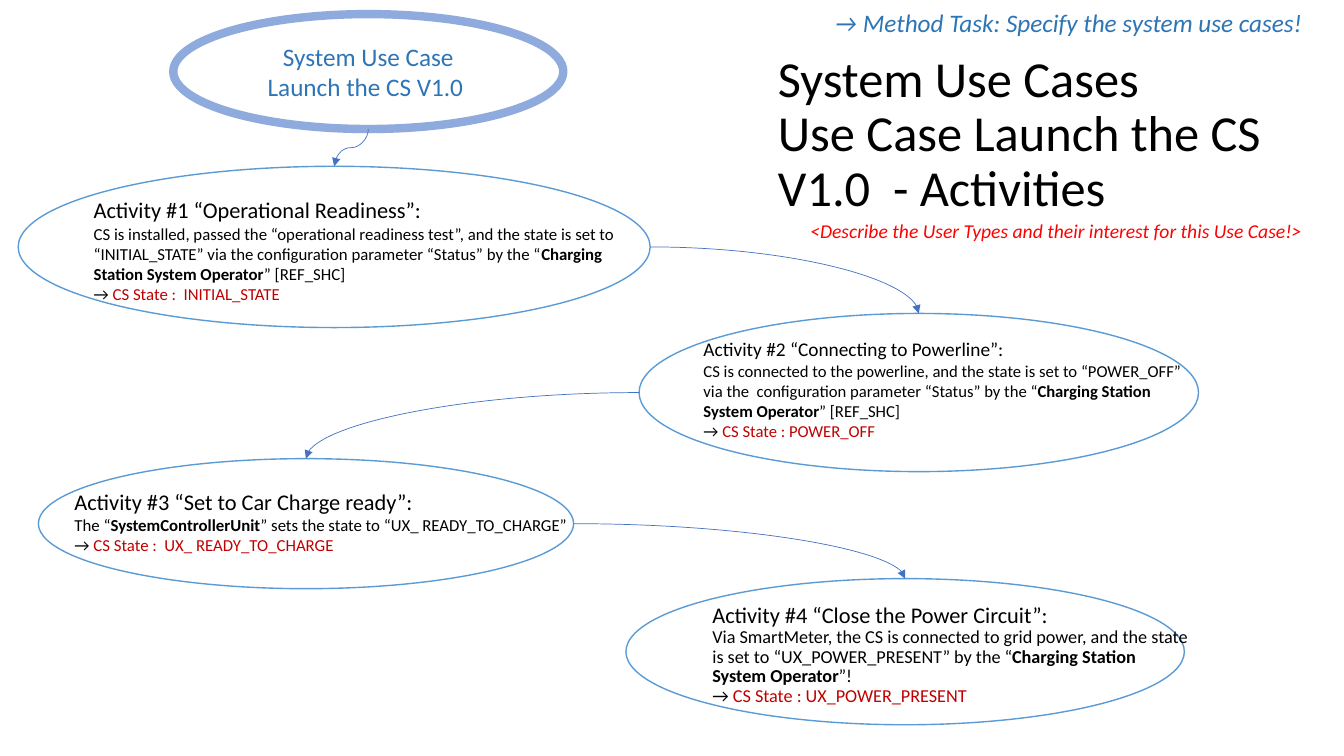
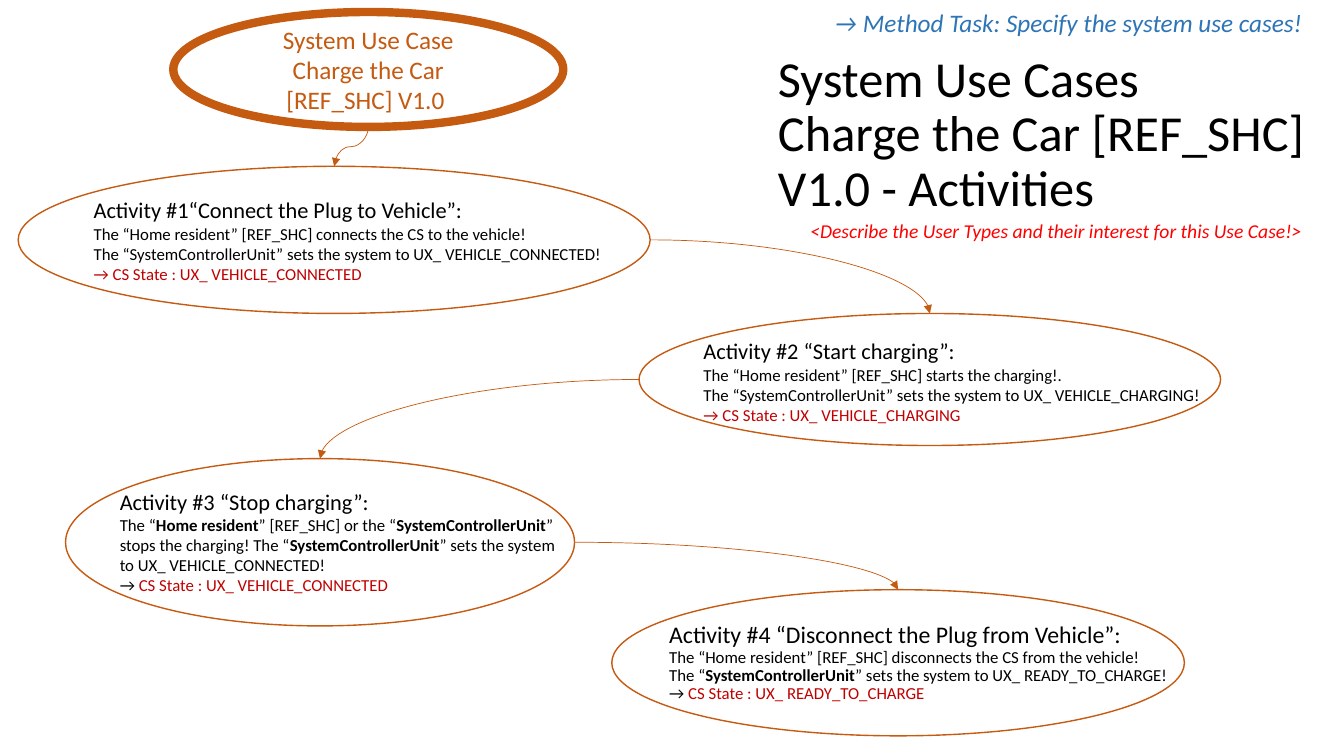
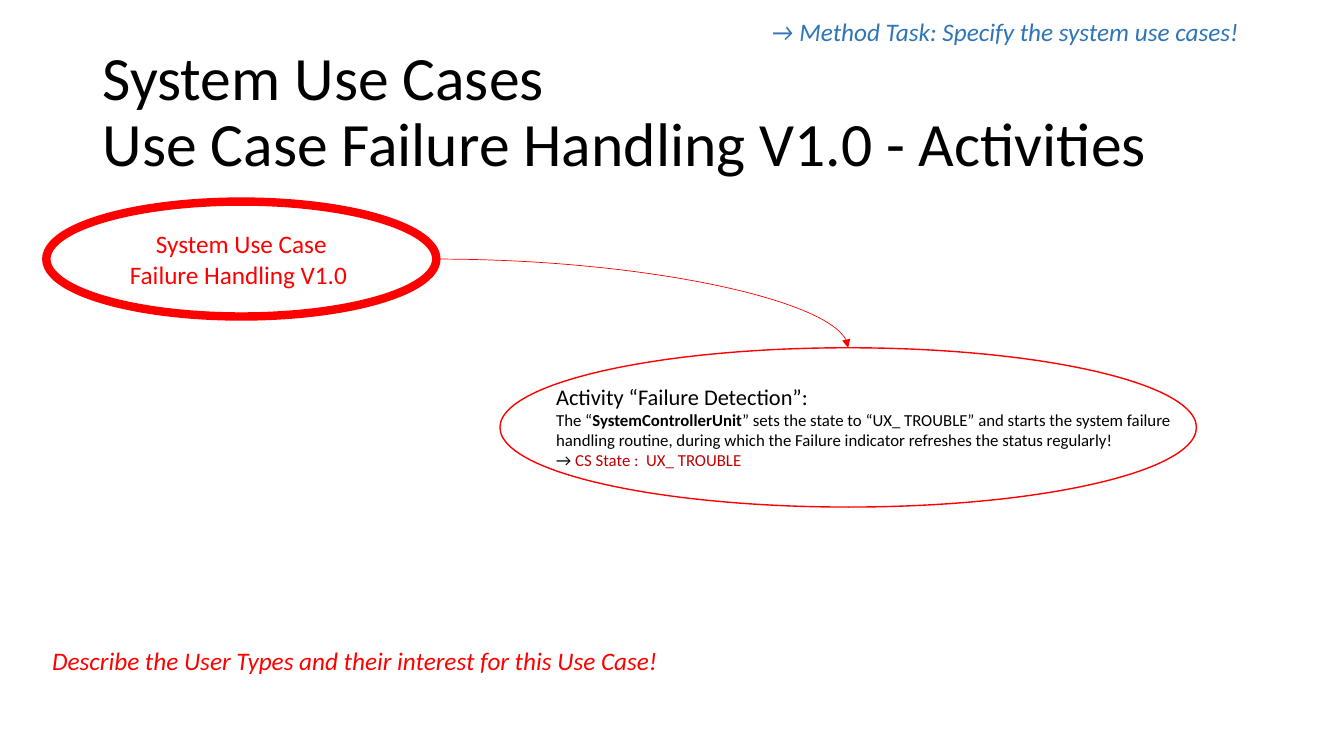
from dataclasses import dataclass

from pptx import Presentation
from pptx.dml.color import RGBColor
from pptx.enum.shapes import MSO_CONNECTOR, MSO_SHAPE
from pptx.enum.text import MSO_ANCHOR, PP_ALIGN
from pptx.oxml.ns import qn
from pptx.util import Pt
from lxml import etree

ELLIPSE = MSO_SHAPE.OVAL
CURVE = MSO_CONNECTOR.CURVE
MIDDLE = MSO_ANCHOR.MIDDLE
CENTER = PP_ALIGN.CENTER
# Connection sites of an ellipse
TOP, LEFT, BOTTOM, RIGHT = 0, 2, 4, 6


@dataclass(frozen=True)
class Theme:
    font: str = "Calibri"
    text: str = "000000"
    state: str = "C00000"
    alert: str = "FF0000"
    method: str = "2E75B6"
    blue_ring: str = "8FAADC"
    blue_outline: str = "5B9BD5"
    blue_arrow: str = "4472C4"
    orange: str = "C55A11"
    title_size: float = 36
    wide_title_size: float = 44
    label_size: float = 18
    hint_size: float = 14
    heading_size: float = 16
    body_size: float = 12
    ring_width: float = 6
    outline_width: float = 1
    arrow_width: float = 0.5
    tight: float = 0.9


THEME = Theme()


def site_point(shape, site):
    """Position of a connection site on an ellipse."""
    across = {LEFT: 0, RIGHT: 2}.get(site, 1)
    down = {TOP: 0, BOTTOM: 2}.get(site, 1)
    return (shape.left + shape.width * across // 2,
            shape.top + shape.height * down // 2)


class Deck:
    def __init__(self, theme):
        self.theme = theme
        self.presentation = Presentation()
        self.presentation.slide_width = Pt(960)
        self.presentation.slide_height = Pt(540)
        self.slide = None

    def new_slide(self, outline, arrow):
        self.slide = self.presentation.slides.add_slide(
            self.presentation.slide_layouts[6])
        self.outline, self.arrow_color = outline, arrow

    # Text
    def add_run(self, paragraph, text, size, color, bold=False, italic=False):
        run = paragraph.add_run()
        run.text = text
        formats = {"name": self.theme.font, "size": Pt(size),
                   "bold": bold, "italic": italic}
        for name, value in formats.items():
            setattr(run.font, name, value)
        run.font.color.rgb = RGBColor.from_string(color)

    def add_lines(self, frame, lines, size, color, italic=False, **paragraph_format):
        """Add one paragraph per line; *stars* enclose bold words."""
        for line in lines:
            first = not frame.paragraphs[0].runs
            paragraph = frame.paragraphs[0] if first else frame.add_paragraph()
            for name, value in paragraph_format.items():
                setattr(paragraph, name, value)
            for index, part in enumerate(line.split("*")):
                if part:
                    self.add_run(paragraph, part, size, color,
                                 index % 2 == 1, italic)
        return paragraph

    def text_frame(self, box):
        frame = self.slide.shapes.add_textbox(*map(Pt, box)).text_frame
        frame.word_wrap = True
        return frame

    def title(self, lines, box=(548.6, 38.2, 411.4, 117.4), size=THEME.title_size):
        frame = self.text_frame(box)
        frame.vertical_anchor = MIDDLE
        self.add_lines(frame, lines, size, self.theme.text,
                       line_spacing=self.theme.tight)

    def note(self, text, box, size, color):
        self.add_lines(self.text_frame(box), [text], size, color, italic=True)

    def method_note(self, left=589, top=1.4):
        self.note("→ Method Task: Specify the system use cases!",
                  (left, top, 371, 28.8), self.theme.label_size, self.theme.method)

    def hint(self):
        self.note("<Describe the User Types and their interest for this Use Case!>",
                  (571.7, 152.6, 388, 24.5), self.theme.hint_size, self.theme.alert)

    # Ellipses
    def ellipse(self, box, color, width):
        shape = self.slide.shapes.add_shape(ELLIPSE, *map(Pt, box))
        shape.shadow.inherit = False
        shape.fill.background()
        shape.line.color.rgb = RGBColor.from_string(color)
        shape.line.width = Pt(width)
        return shape

    def use_case(self, left, top, lines, ring, color):
        shape = self.ellipse((left, top, 278.6, 82.1), ring, self.theme.ring_width)
        shape.text_frame.vertical_anchor = MIDDLE
        self.add_lines(shape.text_frame, lines, self.theme.label_size, color,
                       alignment=CENTER)
        return shape

    def activity(self, box, text_box, heading, body, state, red_arrow=False,
                 heading_size=THEME.heading_size, body_size=THEME.body_size,
                 spacing=None):
        shape = self.ellipse(box, self.outline, self.theme.outline_width)
        frame = self.text_frame(text_box)
        black, red = self.theme.text, self.theme.state
        self.add_lines(frame, [heading], heading_size, black, line_spacing=spacing)
        self.add_lines(frame, body, body_size, black, line_spacing=spacing)
        paragraph = self.add_lines(frame, ["→ "], body_size,
                                   red if red_arrow else black,
                                   line_spacing=spacing)
        self.add_run(paragraph, "CS State : " + state, body_size, red)
        return shape

    # Arrows
    def arrow(self, source, site, target):
        """Curve from a site of the source to the top of the target."""
        x1, y1 = site_point(source, site)
        x2, y2 = site_point(target, TOP)
        if site == BOTTOM:
            # An S-curve is a horizontal one turned by a quarter
            middle_x, middle_y = (x1 + x2) // 2, (y1 + y2) // 2
            half_width, half_height = (y2 - y1) // 2, (x1 - x2) // 2
            connector = self.slide.shapes.add_connector(
                CURVE, middle_x - half_width, middle_y - half_height,
                middle_x + half_width, middle_y + half_height)
            connector.rotation = 90
        else:
            connector = self.slide.shapes.add_connector(CURVE, x1, y1, x2, y2)
        connector.line.color.rgb = RGBColor.from_string(self.arrow_color)
        connector.line.width = Pt(self.theme.arrow_width)

        properties = connector.element.spPr
        if site != BOTTOM:
            properties.find(qn("a:prstGeom")).set("prst", "curvedConnector2")
        etree.SubElement(properties.find(qn("a:ln")), qn("a:tailEnd"),
                         type="triangle")
        etree.SubElement(properties, qn("a:effectLst"))

        # Ellipse sites are joined in XML, as begin_connect knows four only
        joints = connector.element.nvCxnSpPr.cNvCxnSpPr
        for tag, shape, index in (("a:stCxn", source, site),
                                  ("a:endCxn", target, TOP)):
            etree.SubElement(joints, qn(tag), id=str(shape.shape_id),
                             idx=str(index))

    def chain(self, shapes, sites):
        for source, site, target in zip(shapes, sites, shapes[1:]):
            self.arrow(source, site, target)


def launch_slide(deck):
    deck.new_slide(THEME.blue_outline, THEME.blue_arrow)
    deck.title(["System Use Cases", "Use Case Launch the CS V1.0  - Activities"])
    steps = [
        deck.use_case(123.8, 10.1, ["System Use Case", "Launch the CS V1.0 "],
                      THEME.blue_ring, THEME.method),
        deck.activity(
            (13, 118.8, 451.4, 115.2), (59.8, 136.8, 386.6, 77.8),
            "Activity #1 “Operational Readiness”:",
            ["CS is installed, passed the “operational readiness test”, and the "
             "state is set to “INITIAL_STATE” via the configuration parameter "
             "“Status” by the “*Charging Station System Operator*” [REF_SHC] "],
            " INITIAL_STATE"),
        deck.activity(
            (456.5, 223.9, 399.6, 113), (495.4, 237.6, 360.7, 82.1),
            "Activity #2 “Connecting to Powerline”:",
            ["CS is connected to the powerline, and the state is set to "
             "“POWER_OFF” via the  configuration parameter “Status” by the "
             "“*Charging Station System Operator*” [REF_SHC] "],
            "POWER_OFF", heading_size=13.8, body_size=11.9),
        deck.activity(
            (27.4, 327.6, 382.3, 92.9), (46.1, 344.9, 410.4, 55.4),
            "Activity #3 “Set to Car Charge ready”:",
            ["The “*SystemControllerUnit*” sets the state to "
             "“UX_ READY_TO_CHARGE”"],
            " UX_ READY_TO_CHARGE"),
        deck.activity(
            (447.1, 413.3, 398.9, 104.4), (501.8, 427.7, 355, 89.3),
            "Activity #4 “Close the Power Circuit”:",
            ["Via SmartMeter, the CS is connected to grid power, and the state "
             "is set to “UX_POWER_PRESENT” by the "
             "“*Charging Station System Operator*”!"],
            "UX_POWER_PRESENT", body_size=13, spacing=THEME.tight),
    ]
    deck.chain(steps, (BOTTOM, RIGHT, LEFT, RIGHT))
    deck.hint()
    deck.method_note()


def charge_slide(deck):
    deck.new_slide(THEME.orange, THEME.orange)
    deck.title(["System Use Cases", "Charge the Car [REF_SHC] V1.0 - Activities"])
    steps = [
        deck.use_case(123.8, 8.6,
                      ["System Use Case", "Charge the Car [REF_SHC] V1.0 "],
                      THEME.orange, THEME.orange),
        deck.activity(
            (13, 118.8, 451.4, 105.1), (59.8, 136.8, 386.6, 70.6),
            "Activity #1“Connect the Plug to Vehicle”:",
            ["The “Home resident” [REF_SHC] connects the CS to the vehicle! ",
             "The “SystemControllerUnit” sets the system to "
             "UX_ VEHICLE_CONNECTED!"],
            "UX_ VEHICLE_CONNECTED", red_arrow=True),
        deck.activity(
            (456.5, 223.9, 415.4, 94.3), (495.4, 237.6, 376.6, 82.1),
            "Activity #2 “Start charging”:",
            ["The “Home resident” [REF_SHC] starts the charging!.",
             "The “SystemControllerUnit” sets the system to "
             "UX_ VEHICLE_CHARGING!"],
            "UX_ VEHICLE_CHARGING", red_arrow=True),
        deck.activity(
            (46.8, 327.6, 363.6, 119.5), (78.5, 344.9, 331.2, 85),
            "Activity #3 “Stop charging”:",
            ["The “*Home resident*” [REF_SHC] or the “*SystemControllerUnit*” "
             "stops the charging! The “*SystemControllerUnit*” sets the system "
             "to UX_ VEHICLE_CONNECTED!"],
            "UX_ VEHICLE_CONNECTED"),
        deck.activity(
            (437, 421.2, 409, 104.4), (470.9, 441.4, 375.1, 82.1),
            "Activity #4 “Disconnect the Plug from Vehicle”:",
            ["The “Home resident” [REF_SHC] disconnects the CS from the vehicle!",
             "The “*SystemControllerUnit*” sets the system to "
             "UX_ READY_TO_CHARGE! "],
            "UX_ READY_TO_CHARGE", heading_size=17, spacing=THEME.tight),
    ]
    deck.chain(steps, (BOTTOM, RIGHT, LEFT, RIGHT))
    deck.hint()
    deck.method_note()


def failure_slide(deck):
    deck.new_slide(THEME.alert, THEME.alert)
    deck.title(["System Use Cases", "Use Case Failure Handling V1.0 - Activities"],
               (66.2, 28.8, 884.2, 104.4), THEME.wide_title_size)
    steps = [
        deck.use_case(33.1, 144, ["System Use Case", "Failure Handling V1.0 "],
                      THEME.alert, THEME.alert),
        deck.activity(
            (357.1, 248.4, 497.5, 113.8), (390.2, 270, 480.2, 70.6),
            "Activity “Failure Detection”:",
            ["The “*SystemControllerUnit*” sets the state to “UX_ TROUBLE” and "
             "starts the system failure handling routine, during which the "
             "Failure indicator refreshes the status regularly!"],
            " UX_ TROUBLE"),
    ]
    deck.chain(steps, (RIGHT,))
    deck.method_note(543.6, 7.9)
    deck.note("Describe the User Types and their interest for this Use Case!",
              (30.2, 457.2, 480.2, 28.8), THEME.label_size, THEME.alert)


def main():
    deck = Deck(THEME)
    launch_slide(deck)
    charge_slide(deck)
    failure_slide(deck)
    deck.presentation.save("out.pptx")


if __name__ == "__main__":
    main()
